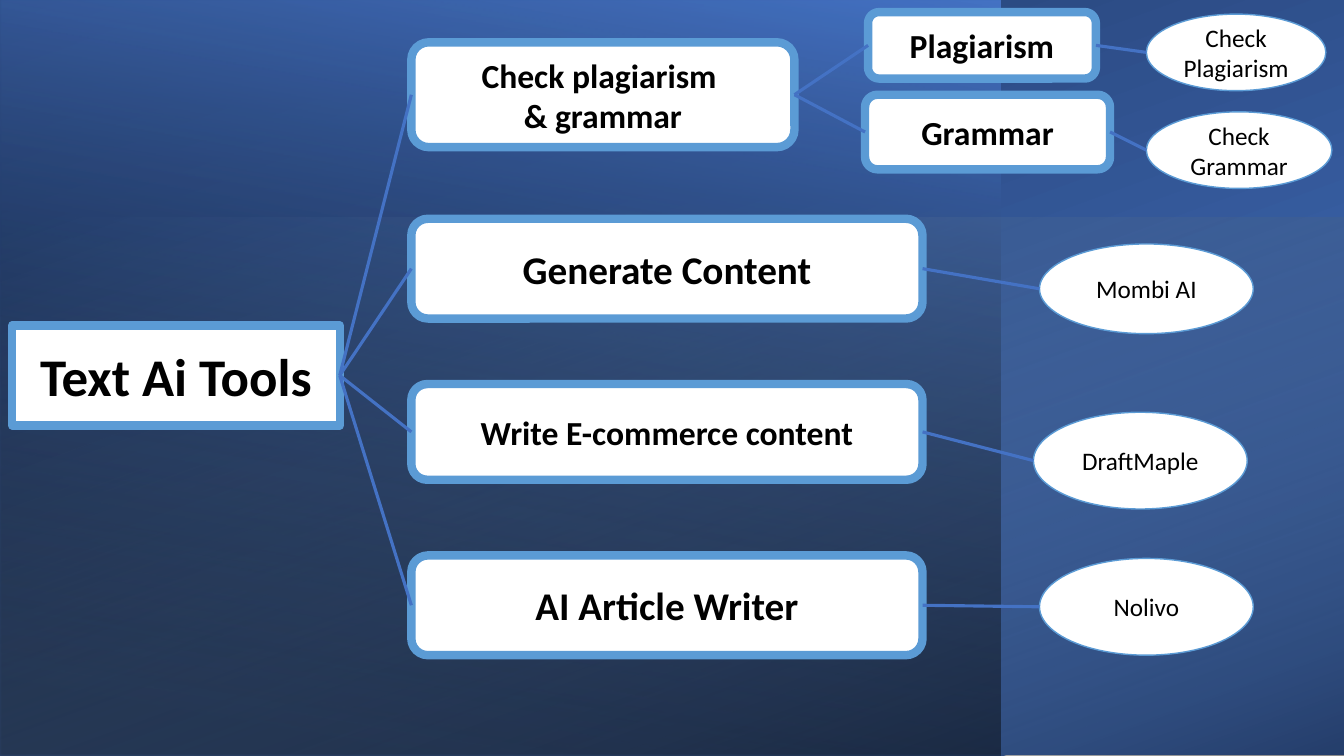
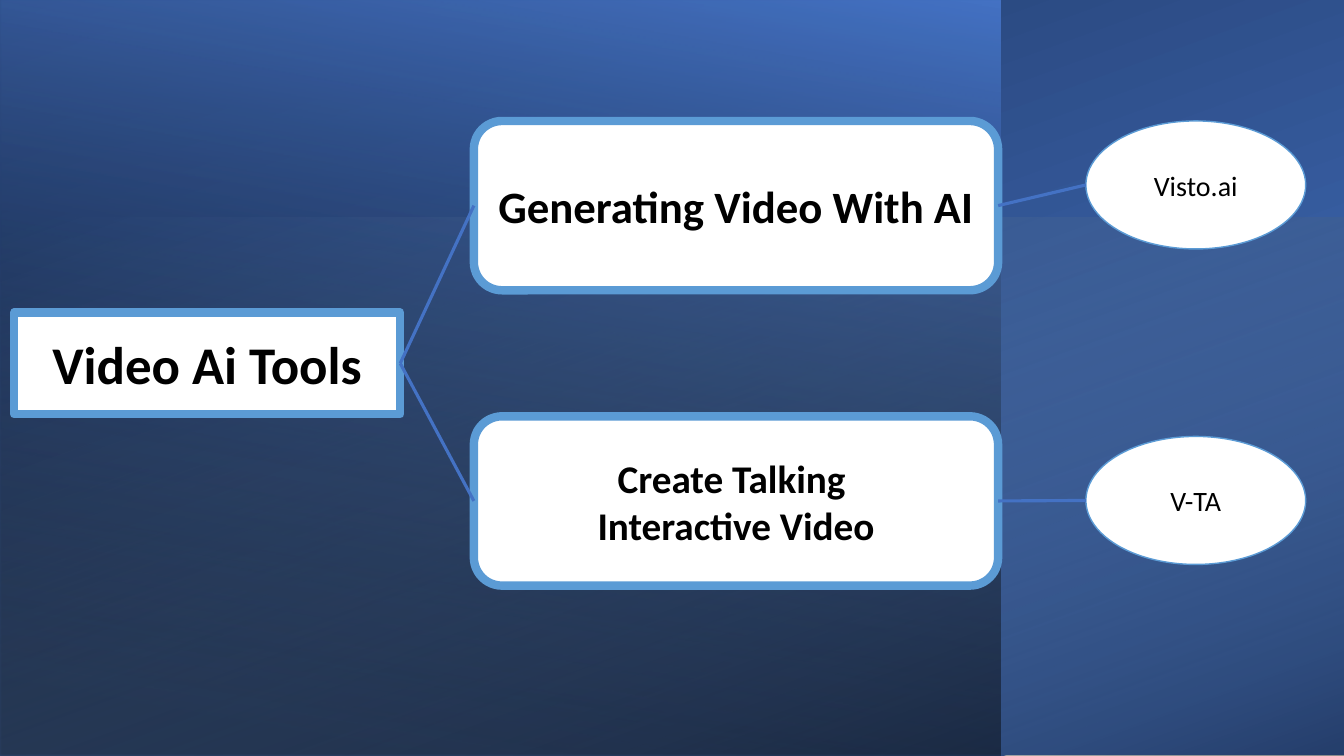
"""Build two tree diagrams of text and video tools."""
from dataclasses import dataclass
from typing import Any

from lxml import etree
from pptx import Presentation
from pptx.dml.color import RGBColor
from pptx.enum import shapes, text
from pptx.oxml.ns import qn
from pptx.util import Inches, Length, Pt


@dataclass(frozen=True)
class Theme:
    """Colours, font and sizes that both slides share."""
    blue: str = "4472C4"
    navy: str = "203864"
    sky: str = "9DC3E6"
    edge: str = "5B9BD5"
    white: str = "FFFFFF"
    black: str = "000000"
    font: str = "Calibri"
    root: float = 37.8
    large: float = 32
    mid: float = 28
    base: float = 24
    leaf: float = 20
    small: float = 18
    frame: float = 6
    rim: float = 1
    link: float = 2.25
    after: float = 6


THEME = Theme()


@dataclass(frozen=True)
class Stop:
    """One gradient stop, with place and opacity in percent."""
    place: float
    tint: str
    alpha: int = 100


@dataclass(frozen=True)
class Panel:
    """One turned gradient panel of the backdrop."""
    left: float
    top: float
    width: float
    height: float
    turn: int
    angle: int
    first: Stop
    last: Stop


@dataclass(frozen=True)
class Node:
    """One labelled box or oval, with the nodes that hang from it."""
    label: str
    left: float
    top: float
    width: float
    height: float
    size: float
    kids: tuple["Node", ...] = ()
    oval: bool = False


def leaf(label: str, left: float, top: float, width: float, height: float,
         size: float = THEME.small) -> Node:
    """Return an oval end node."""
    return Node(label, left, top, width, height, size, oval=True)


def branch(label: str, top: float, height: float, size: float, tip: Node) -> Node:
    """Return a wide box of the text slide with one oval."""
    return Node(label, 4.08, top, 5.07, height, size, (tip,))


def clip(label: str, top: float, size: float, name: str, drop: float) -> Node:
    """Return a tall box of the video slide with one oval."""
    tip = leaf(name, 10.77, drop, 2.18, 1.27, THEME.leaf)
    return Node(label, 4.7, top, 5.2, 1.68, size, (tip,))


PANELS = (
    Panel(2.92, -2.92, 7.5, 13.33, 270, 200,
          Stop(8, THEME.blue), Stop(100, THEME.navy)),
    Panel(0, 0, 9.92, 7.5, 180, 80,
          Stop(8, THEME.black, 52), Stop(100, THEME.blue)),
    Panel(3.99, -1.84, 5.35, 13.34, 270, 20,
          Stop(0, THEME.sky, 0), Stop(100, THEME.black, 46)),
)

CHECK = Node("Check plagiarism \n& grammar", 4.08, 0.42, 3.8, 1.04, THEME.base, (
    Node("Plagiarism", 8.61, 0.12, 2.26, 0.66, THEME.base,
         (leaf("Check Plagiarism", 11.37, 0.14, 1.78, 0.76),)),
    Node("Grammar", 8.58, 0.94, 2.43, 0.74, THEME.base,
         (leaf("Check Grammar", 11.37, 1.11, 1.84, 0.76),)),
))

TREES = (
    Node("Text Ai Tools", 0.12, 3.23, 3.25, 0.99, THEME.root, (
        CHECK,
        branch("Generate Content", 2.17, 0.99, THEME.mid,
               leaf("Mombi AI", 10.31, 2.42, 2.12, 0.89)),
        branch("Write E-commerce content", 3.81, 0.95, THEME.base,
               leaf("DraftMaple", 10.25, 4.09, 2.12, 0.96)),
        branch("AI Article Writer", 5.51, 0.99, THEME.mid,
               leaf("Nolivo", 10.31, 5.54, 2.12, 0.96)),
    )),
    Node("Video Ai Tools", 0.14, 3.1, 3.83, 1.01, THEME.root, (
        clip("Generating Video With AI", 1.2, THEME.large, "Visto.ai", 1.2),
        clip("Create Talking \nInteractive Video", 4.13, THEME.mid, "V-TA", 4.33),
    )),
)


def rgb(tint: str) -> RGBColor:
    """Return a colour object for a hex value."""
    return RGBColor.from_string(tint)


def frame(item: Panel | Node) -> tuple[Length, Length, Length, Length]:
    """Return left, top, width and height as lengths."""
    return (Inches(item.left), Inches(item.top),
            Inches(item.width), Inches(item.height))


def back(slide: Any) -> None:
    """Lay the gradient panels on a slide."""
    for panel in PANELS:
        shape = slide.shapes.add_shape(shapes.MSO_SHAPE.RECTANGLE, *frame(panel))
        shape.shadow.inherit = False
        shape.line.fill.background()
        shape.rotation = panel.turn
        props = shape._element.spPr
        props.find(qn("a:xfrm")).set("flipH", "1")
        shape.fill.gradient()
        shape.fill.gradient_angle = 360 - panel.angle
        stops = (panel.first, panel.last)
        for mark, stop in zip(shape.fill.gradient_stops, stops):
            mark.color.rgb = rgb(stop.tint)
            mark.position = stop.place / 100
        for tint, stop in zip(props.iter(qn("a:srgbClr")), stops):
            if stop.alpha < 100:
                etree.SubElement(tint, qn("a:alpha"), val=str(stop.alpha * 1000))


def head(slide: Any, node: Node) -> Any:
    """Place the title as a rounded box above the backdrop."""
    title = slide.shapes.title
    title.left, title.top, title.width, title.height = frame(node)
    slide.shapes._spTree.append(title._element)
    geom = etree.Element(qn("a:prstGeom"), prst="roundRect")
    etree.SubElement(geom, qn("a:avLst"))
    title._element.spPr.find(qn("a:xfrm")).addnext(geom)
    return title


def style(shape: Any, node: Node) -> None:
    """Fill, outline and label a node."""
    shape.shadow.inherit = False
    shape.fill.solid()
    shape.fill.fore_color.rgb = rgb(THEME.white)
    shape.line.color.rgb = rgb(THEME.edge)
    shape.line.width = Pt(THEME.rim if node.oval else THEME.frame)
    body = shape.text_frame
    body.word_wrap = True
    body.auto_size = text.MSO_AUTO_SIZE.NONE
    body.vertical_anchor = text.MSO_ANCHOR.MIDDLE
    if node.oval:
        body.margin_left = body.margin_right = Inches(0.05)
    para = body.paragraphs[0]
    para.alignment = text.PP_ALIGN.CENTER
    para.space_after = Pt(0 if node.oval else THEME.after)
    for row, words in enumerate(node.label.split("\n")):
        if row:
            para.add_line_break()
        run = para.add_run()
        run.text = words
        run.font.name = THEME.font
        run.font.size = Pt(node.size)
        run.font.bold = not node.oval
        run.font.color.rgb = rgb(THEME.black)


def join(slide: Any, start: Any, end: Any, oval: bool) -> None:
    """Link the right side of one shape to the left of the next."""
    line = slide.shapes.add_connector(
        shapes.MSO_CONNECTOR.STRAIGHT,
        start.left + start.width, start.top + start.height // 2,
        end.left, end.top + end.height // 2)
    line.begin_connect(start, 3)
    if not oval:
        line.end_connect(end, 1)
    line.line.color.rgb = rgb(THEME.blue)
    line.line.width = Pt(THEME.link)
    etree.SubElement(line._element.spPr, qn("a:effectLst"))


def grow(slide: Any, node: Node, shape: Any) -> None:
    """Style a node, then draw and link all that hangs from it."""
    style(shape, node)
    for kid in node.kids:
        kind = (shapes.MSO_SHAPE.OVAL if kid.oval
                else shapes.MSO_SHAPE.ROUNDED_RECTANGLE)
        child = slide.shapes.add_shape(kind, *frame(kid))
        grow(slide, kid, child)
        join(slide, shape, child, kid.oval)


def main() -> None:
    """Build and save the deck."""
    deck = Presentation()
    deck.slide_width, deck.slide_height = Inches(13.33), Inches(7.5)
    for tree in TREES:
        slide = deck.slides.add_slide(deck.slide_layouts[5])
        back(slide)
        grow(slide, tree, head(slide, tree))
    deck.save("out.pptx")


if __name__ == "__main__":
    main()
